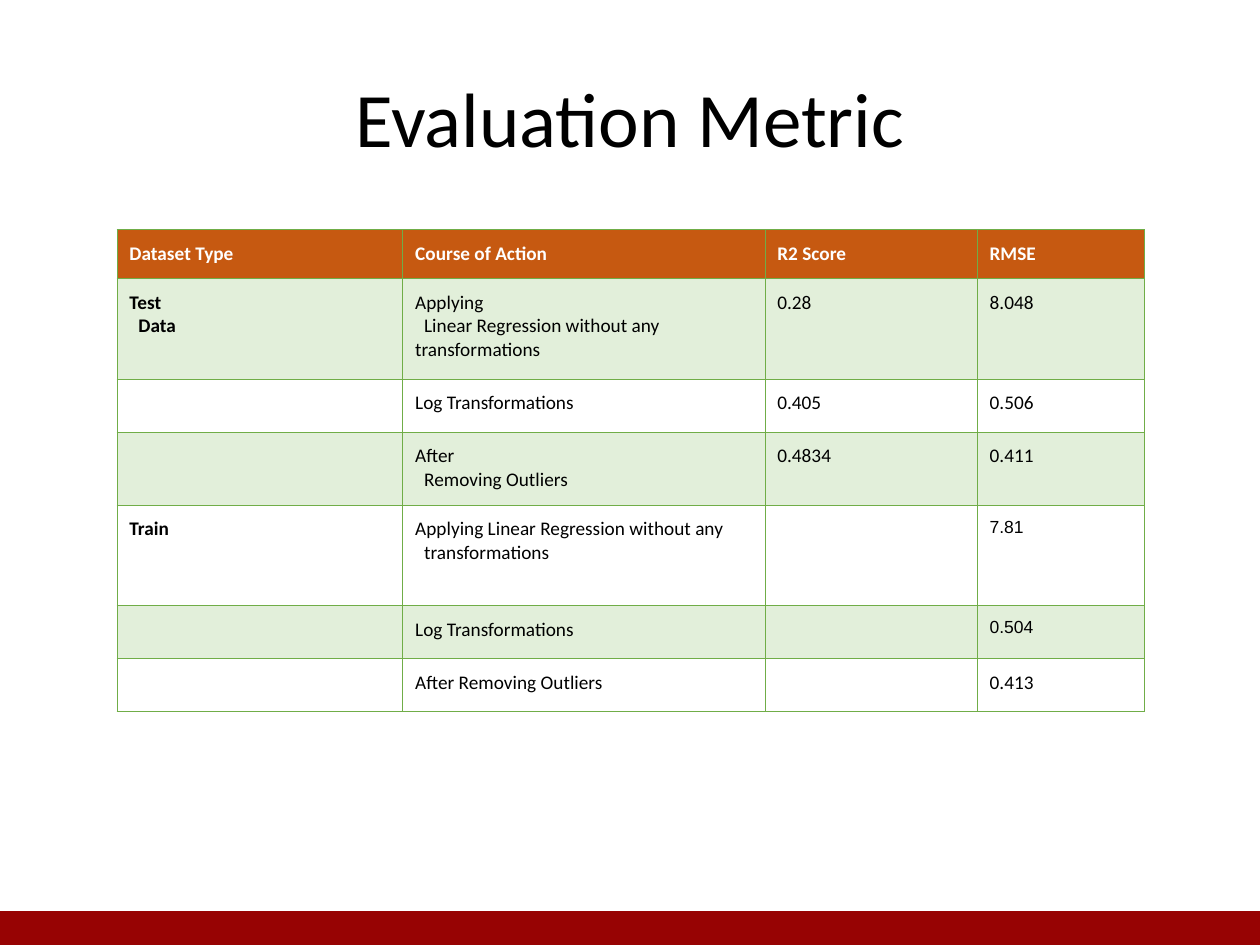
from lxml import etree
from pptx import Presentation
from pptx.dml.color import RGBColor
from pptx.enum import shapes, text
from pptx.oxml import ns
from pptx.util import Cm, Pt

TITLE = "Evaluation Metric"
HEADINGS = ["Dataset Type", "Course of Action", "R2 Score", "RMSE"]
RESULTS = [
    ["Test\nData", "Applying\nLinear Regression without any transformations", "0.28", "8.048"],
    ["", "Log Transformations", "0.405", "0.506"],
    ["", "After\nRemoving Outliers", "0.4834", "0.411"],
    ["Train", "Applying Linear Regression without any\ntransformations", "", "7.81"],
    ["", "Log Transformations", "", "0.504"],
    ["", "After Removing Outliers", "", "0.413"],
]
ARIAL_SCORES = {"7.81", "0.504"}
COLUMN_WIDTHS = [5.76, 7.3, 4.28, 3.36]
ROW_HEIGHTS = [0.98, 2.03, 1.07, 1.47, 2.03, 1.07, 1.07]
COLORS = {"heading": "C65911", "band": "E2EFDA", "grid": "70AD47",
          "footer": "970303", "ink": "000000", "paper": "FFFFFF"}


def color(name):
    """Return the named palette colour."""
    return RGBColor.from_string(COLORS[name])


def style(paragraph, face, size, ink, bold=False):
    """Format every run of a paragraph."""
    for run in paragraph.runs:
        run.font.name = face
        run.font.size = Pt(size)
        run.font.bold = bold
        run.font.color.rgb = color(ink)


def draw_borders(cell, row):
    """Draw the grid lines, heavier between headings and results."""
    heavy_side = {0: "lnB", 1: "lnT"}.get(row)
    properties = cell._tc.get_or_add_tcPr()
    for side in ("lnL", "lnR", "lnT", "lnB"):
        width = Pt(1 if side == heavy_side else 0.5)
        line = etree.SubElement(properties, ns.qn(f"a:{side}"), w=str(width))
        paint = etree.SubElement(line, ns.qn("a:solidFill"))
        etree.SubElement(paint, ns.qn("a:srgbClr"), val=COLORS["grid"])


def write_cell(cell, words, row, column):
    """Fill one cell with its wording, borders and background."""
    draw_borders(cell, row)
    if row % 2 or row == 0:
        cell.fill.solid()
        cell.fill.fore_color.rgb = color("band" if row else "heading")
    else:
        cell.fill.background()
    if not words:
        return
    cell.margin_left = cell.margin_right = Cm(0.25)
    cell.margin_top = cell.margin_bottom = Cm(0.25)
    cell.text_frame.text = words
    face, size = ("Arial", 10) if words in ARIAL_SCORES else ("Calibri", 11)
    for position, paragraph in enumerate(cell.text_frame.paragraphs):
        style(paragraph, face, size, "ink" if row else "paper", row == 0 or column == 0)
        if position:
            paragraph._p.get_or_add_pPr().set("indent", str(Cm(0.18)))


def main():
    """Build the evaluation metric slide."""
    deck = Presentation()
    deck.slide_width, deck.slide_height = Cm(25.4), Cm(19.05)
    slide = deck.slides.add_slide(deck.slide_layouts[5])

    footer = slide.shapes.add_shape(
        shapes.MSO_SHAPE.RECTANGLE, 0, Cm(18.41), Cm(25.4), Cm(0.64))
    footer.shadow.inherit = False
    footer.fill.solid()
    footer.fill.fore_color.rgb = color("footer")
    footer.line.color.rgb = color("footer")
    footer.line.width = Pt(2)

    title = slide.shapes.title
    title.left, title.top, title.width, title.height = Cm(1.27), Cm(0.76), Cm(22.86), Cm(3.18)
    title.text_frame.text = TITLE
    title.text_frame.vertical_anchor = text.MSO_ANCHOR.MIDDLE
    heading = title.text_frame.paragraphs[0]
    heading.alignment = text.PP_ALIGN.CENTER
    style(heading, "Calibri", 44, "ink")

    rows = [HEADINGS, *RESULTS]
    metrics = slide.shapes.add_table(
        len(rows), len(HEADINGS), Cm(2.36), Cm(4.63),
        Cm(sum(COLUMN_WIDTHS)), Cm(sum(ROW_HEIGHTS))).table
    for column, width in zip(metrics.columns, COLUMN_WIDTHS):
        column.width = Cm(width)
    for row, height in zip(metrics.rows, ROW_HEIGHTS):
        row.height = Cm(height)
    for row, entries in enumerate(rows):
        for column, words in enumerate(entries):
            write_cell(metrics.cell(row, column), words, row, column)

    deck.save("out.pptx")


if __name__ == "__main__":
    main()
